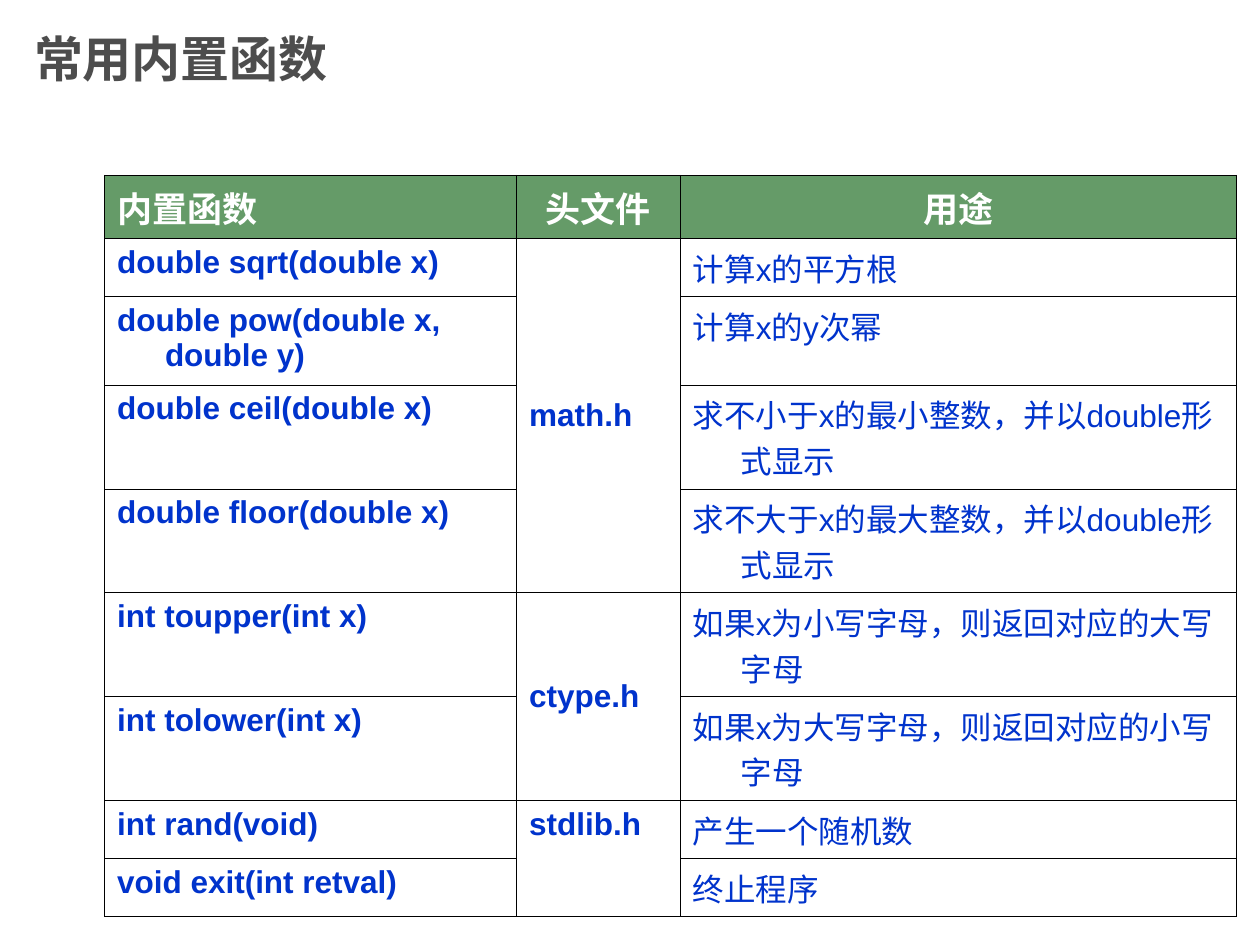
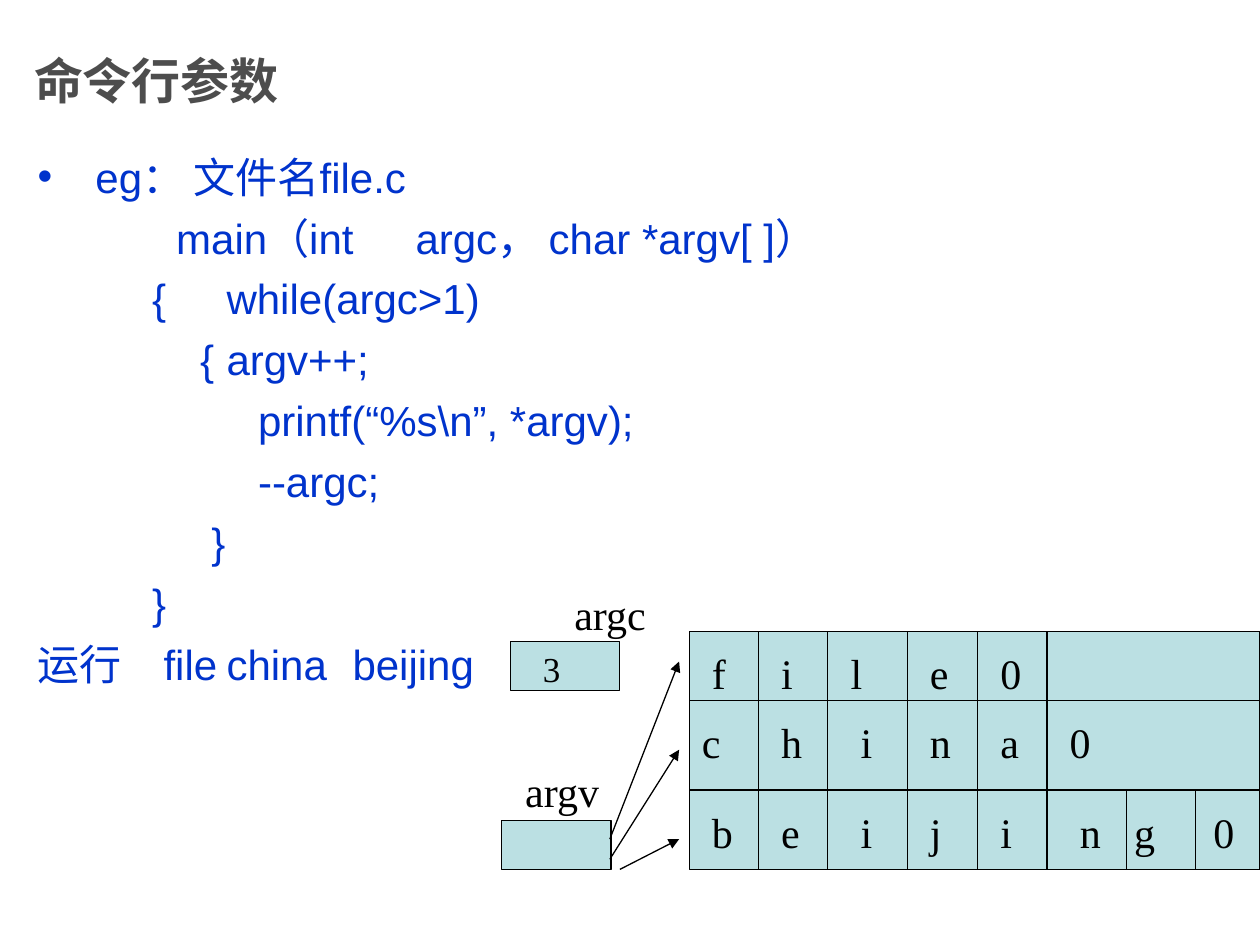
from lxml.etree import SubElement
from pptx import Presentation
from pptx.dml.color import RGBColor
from pptx.enum.shapes import MSO_CONNECTOR as Connector, MSO_SHAPE as Shape
from pptx.enum.text import MSO_ANCHOR as Anchor, MSO_AUTO_SIZE as AutoSize, PP_ALIGN as Align
from pptx.oxml import parse_xml
from pptx.oxml.ns import nsdecls, qn
from pptx.util import Inches, Pt

GREY, BLUE, GREEN, PALE = "4D4D4D", "0033CC", "659B68", "BBE0E3"
BLACK, WHITE = "000000", "FFFFFF"
SANS, SERIF = "Arial", "Times New Roman"
TITLE_LAYOUT = 5
HANG = 0.38

HEADINGS = ["内置函数", "头文件", "用途"]
FUNCTIONS = [
    ("double sqrt(double x)", "计算x的平方根"),
    ("double pow(double x, double y)", "计算x的y次幂"),
    ("double ceil(double x)", "求不小于x的最小整数，并以double形式显示"),
    ("double floor(double x)", "求不大于x的最大整数，并以double形式显示"),
    ("int toupper(int x)", "如果x为小写字母，则返回对应的大写字母"),
    ("int tolower(int x)", "如果x为大写字母，则返回对应的小写字母"),
    ("int rand(void)", "产生一个随机数"),
    ("void exit(int retval)", "终止程序"),
]
# header file, number of functions it covers, vertical anchor
HEADER_FILES = [
    ("math.h", 4, Anchor.MIDDLE),
    ("ctype.h", 2, Anchor.MIDDLE),
    ("stdlib.h", 2, Anchor.TOP),
]
COLUMN_WIDTHS = [3.27, 1.3, 4.41]
ROW_HEIGHTS = [0.46, 0.4] + [0.7] * 5 + [0.4] * 2

# text, first-line indent, tab stops
CODE_LINES = [
    ("main（int\targc， char *argv[ ]）", 1.1, [2.86]),
    ("{\twhile(argc>1)", 0.91, [1.4]),
    ("{\targv++;", 1.29, [1.68]),
    ("printf(“%s\\n”, *argv);", 1.75, []),
    ("--argc;", 1.75, []),
    ("}", 1.38, []),
    ("}", 0.91, []),
    ("运行\tfile\tchina\tbeijing", 0, [0.89, 1.69, 2.76]),
]

WORDS = ["file0", "china0", "beijing0"]
COLUMN_EDGES = [5.47, 6.02, 6.57, 7.2, 7.76, 8.31, 8.94, 9.49, 10]
ROW_EDGES = [5.01, 5.56, 6.27, 6.9]
FULL_HEIGHT_COLUMNS = 5
# (word, letter): sideways offset from its column
NUDGES = {(1, 0): -0.08, (1, 2): 0.08, (2, 2): 0.08,
          (2, 5): 0.08, (2, 6): -0.12, (2, 7): -0.04}

VARIABLE_BOXES = [(4.05, 5.09), (3.98, 6.51)]
VARIABLE_LABELS = [("3", 4.21, 5.09, 20), ("argc", 4.46, 4.62, 24), ("argv", 4.07, 6.03, 24)]
POINTERS = [((4.84, 6.66), (5.39, 5.25)),
            ((4.84, 6.82), (5.39, 5.95)),
            ((4.92, 6.9), (5.39, 6.66))]


def rgb(value):
    return RGBColor.from_string(value)


def add_span(para, text, size, color, font=SANS, bold=False):
    span = para.add_run()
    span.text = text
    span.font.size, span.font.name, span.font.bold = Pt(size), font, bold
    span.font.color.rgb = rgb(color)


def set_indent(para, left, first):
    properties = para._p.get_or_add_pPr()
    properties.set("marL", str(Inches(left)))
    properties.set("indent", str(Inches(first)))
    return properties


def add_text_box(page, left, top, width, height):
    frame = page.shapes.add_textbox(*map(Inches, (left, top, width, height))).text_frame
    frame.word_wrap = True
    return frame


def add_titled_page(deck, title, anchor):
    page = deck.slides.add_slide(deck.slide_layouts[TITLE_LAYOUT])
    box = page.shapes.title
    box.left, box.top, box.width, box.height = map(Inches, (0.17, 0, 7.5, 0.92))
    frame = box.text_frame
    frame.vertical_anchor, frame.auto_size = anchor, AutoSize.NONE
    para = frame.paragraphs[0]
    para.alignment = Align.LEFT
    add_span(para, title, 28, GREY, bold=True)
    return page


def add_line(page, start, end, arrow=False):
    line = page.shapes.add_connector(Connector.STRAIGHT, *map(Inches, start + end))
    line.line.color.rgb, line.line.width = rgb(BLACK), Pt(0.75)
    if arrow:
        SubElement(line.line._get_or_add_ln(), qn("a:tailEnd"), type="triangle")
    SubElement(line._element.spPr, qn("a:effectLst"))


def add_box(page, left, top, width, height):
    box = page.shapes.add_shape(Shape.RECTANGLE, *map(Inches, (left, top, width, height)))
    box.shadow.inherit = False
    box.fill.solid()
    box.fill.fore_color.rgb = rgb(PALE)
    box.line.color.rgb, box.line.width = rgb(BLACK), Pt(0.75)


def add_borders(cell):
    properties = cell._tc.get_or_add_tcPr()
    for place, side in enumerate("LRTB"):
        properties.insert(place, parse_xml(
            f'<a:ln{side} {nsdecls("a")} w="{Pt(0.45)}"><a:solidFill>'
            f'<a:srgbClr val="{BLACK}"/></a:solidFill></a:ln{side}>'))


def fill_cell(cell, text, size=18, color=BLUE, bold=True, align=Align.LEFT, anchor=Anchor.TOP):
    cell.vertical_anchor = anchor
    para = cell.text_frame.paragraphs[0]
    para.alignment = align
    set_indent(para, HANG, -HANG)
    add_span(para, text, size, color, bold=bold)


def add_function_table(page):
    frame = page.shapes.add_table(len(ROW_HEIGHTS), len(COLUMN_WIDTHS), *map(
        Inches, (0.83, 1.39, sum(COLUMN_WIDTHS), sum(ROW_HEIGHTS))))
    table = frame.table
    table.first_row = table.horz_banding = False
    for column, width in zip(table.columns, COLUMN_WIDTHS):
        column.width = Inches(width)
    for row_index, (row, height) in enumerate(zip(table.rows, ROW_HEIGHTS)):
        row.height = Inches(height)
        for cell in row.cells:
            if row_index == 0:
                cell.fill.solid()
                cell.fill.fore_color.rgb = rgb(GREEN)
            else:
                cell.fill.background()
            add_borders(cell)
    for column, heading in enumerate(HEADINGS):
        fill_cell(table.cell(0, column), heading, 20, WHITE,
                  align=Align.CENTER if column else Align.LEFT)
    for row, (signature, purpose) in enumerate(FUNCTIONS, 1):
        fill_cell(table.cell(row, 0), signature)
        fill_cell(table.cell(row, 2), purpose, bold=False)
    row = 1
    for name, count, anchor in HEADER_FILES:
        table.cell(row, 1).merge(table.cell(row + count - 1, 1))
        fill_cell(table.cell(row, 1), name, anchor=anchor)
        row += count


def add_code(page):
    frame = add_text_box(page, 0.2, 1.15, 8.5, 4.99)
    intro = frame.paragraphs[0]
    add_span(intro, "eg： 文件名file.c", 24, BLUE)
    for text, indent, stops in CODE_LINES:
        para = frame.add_paragraph()
        add_span(para, text, 24, BLUE)
        properties = set_indent(para, 0, indent)
        if stops:
            tabs = SubElement(properties, qn("a:tabLst"))
            for stop in stops:
                SubElement(tabs, qn("a:tab"), pos=str(Inches(stop)), algn="l")
    for para in frame.paragraphs:
        para.space_before, para.line_spacing = Pt(6), Pt(28.8)
    properties = set_indent(intro, 0.46, -0.46)
    SubElement(SubElement(properties, qn("a:buClr")), qn("a:srgbClr"), val=BLUE)
    SubElement(properties, qn("a:buFont"), typeface=SANS)
    SubElement(properties, qn("a:buChar"), char="•")


def add_variables(page):
    for left, top in VARIABLE_BOXES:
        add_box(page, left, top, 0.87, 0.39)
    for text, left, top, size in VARIABLE_LABELS:
        frame = add_text_box(page, left, top, 1.25, 0.5)
        add_span(frame.paragraphs[0], text, size, BLACK, SERIF)


def add_letter_grid(page):
    left, right = COLUMN_EDGES[0], COLUMN_EDGES[-1]
    top, bottom = ROW_EDGES[0], ROW_EDGES[-1]
    add_box(page, left, top, right - left, bottom - top)
    for y in ROW_EDGES[1:-1]:
        add_line(page, (left, y), (right, y))
    for column, x in enumerate(COLUMN_EDGES[1:-1], 1):
        start = top if column <= FULL_HEIGHT_COLUMNS else ROW_EDGES[-2]
        add_line(page, (x, start), (x, bottom))
    for row, word in enumerate(WORDS):
        for column, letter in enumerate(word):
            x = COLUMN_EDGES[column] + NUDGES.get((row, column), 0)
            frame = add_text_box(page, x, ROW_EDGES[row] + 0.08, 0.55, 0.5)
            frame.margin_left = Inches(0.18)
            add_span(frame.paragraphs[0], letter, 24, BLACK, SERIF)


def main():
    deck = Presentation()
    deck.slide_width, deck.slide_height = Inches(10), Inches(7.5)

    page = add_titled_page(deck, "常用内置函数", Anchor.MIDDLE)
    add_line(page, (5.55, 5.09), (5.55, 5.09), arrow=True)
    add_function_table(page)

    page = add_titled_page(deck, "命令行参数", Anchor.BOTTOM)
    add_code(page)
    add_variables(page)
    add_letter_grid(page)
    for start, end in POINTERS:
        add_line(page, start, end, arrow=True)

    deck.save("out.pptx")


if __name__ == "__main__":
    main()
